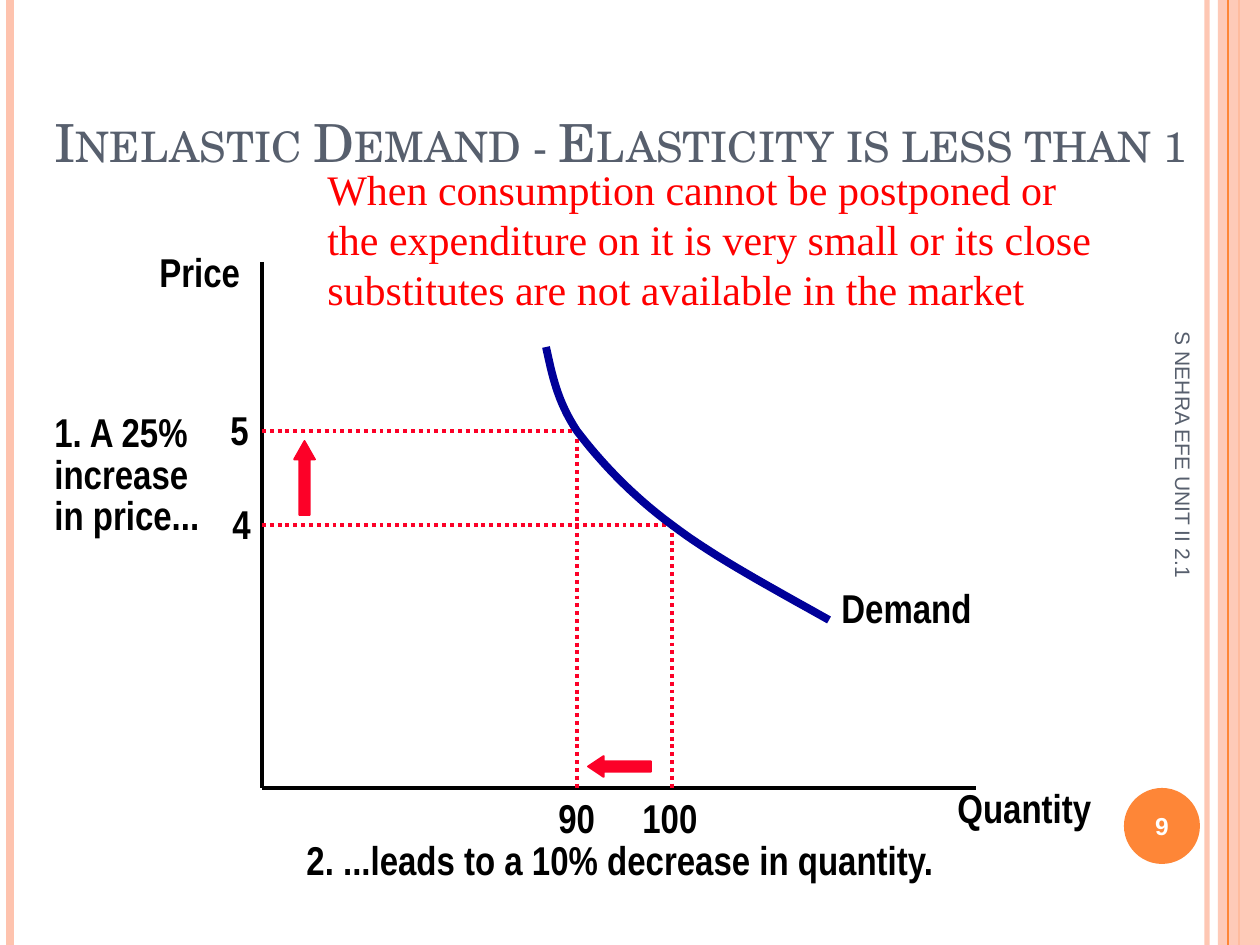
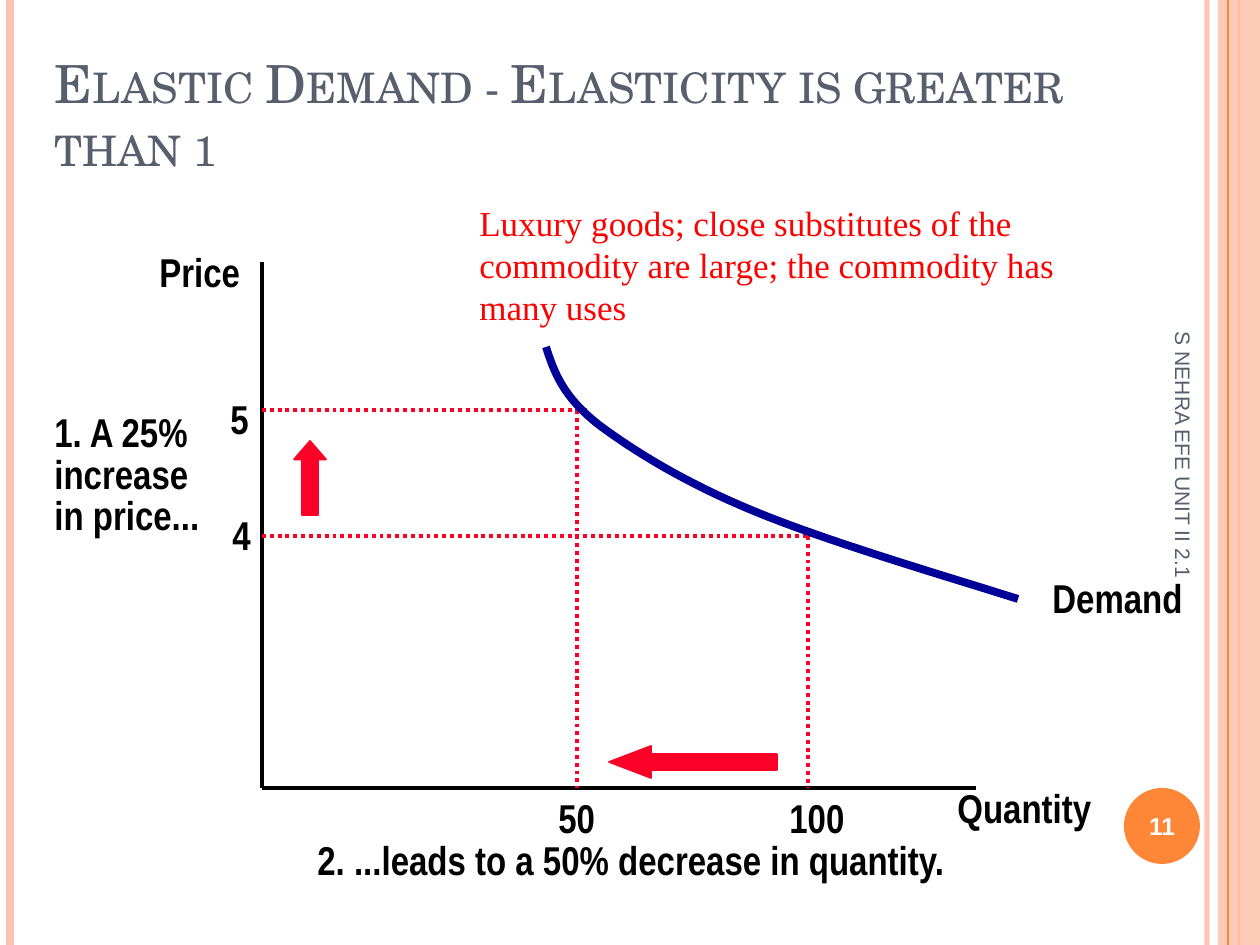
import pptx
import pptx.util
import pptx.dml.color
import pptx.enum.dml
import pptx.enum.shapes
import pptx.enum.text
import pptx.oxml
import pptx.oxml.ns

SHAPE = pptx.enum.shapes.MSO_SHAPE
ALIGN = pptx.enum.text.PP_ALIGN
ANCHOR = pptx.enum.text.MSO_ANCHOR
WIDTH, HEIGHT = 1260, 945
PEACH, ORANGE, SLATE = "FEC3AE", "FE8637", "575F6D"
BLACK, WHITE, RED, CRIMSON, NAVY = "000000", "FFFFFF", "FF0000", "FC0128", "000099"
ORIGIN_X, ORIGIN_Y = 262, 788
LABEL_HEIGHT = 60


def emu(pixels):
    return round(pixels * 914400 / 126)


def color(value):
    return pptx.dml.color.RGBColor.from_string(value)


def bezier(points, steps=16):
    curve = [points[0]]
    for first in range(0, len(points) - 1, 3):
        a, b, c, d = points[first:first + 4]
        for step in range(1, steps + 1):
            t = step / steps
            s = 1 - t
            curve.append(tuple(
                s**3 * a[i] + 3 * s * s * t * b[i] + 3 * s * t * t * c[i] + t**3 * d[i]
                for i in (0, 1)))
    return curve


class Pages:
    def __init__(self):
        self.deck = pptx.Presentation()
        self.deck.slide_width, self.deck.slide_height = emu(WIDTH), emu(HEIGHT)
        self.page = None

    def fade(self, shape, percent):
        for element in shape._element.spPr.iter(pptx.oxml.ns.qn("a:srgbClr")):
            alpha = pptx.oxml.parse_xml(
                f'<a:alpha {pptx.oxml.ns.nsdecls("a")} val="{percent * 1000}"/>')
            element.append(alpha)

    def line(self, x1, y1, x2, y2, paint, weight, dotted=False):
        line = self.page.shapes.add_connector(
            pptx.enum.shapes.MSO_CONNECTOR.STRAIGHT, emu(x1), emu(y1), emu(x2), emu(y2))
        line.line.color.rgb = color(paint)
        line.line.width = pptx.util.Pt(weight)
        if dotted:
            line.line.dash_style = pptx.enum.dml.MSO_LINE.ROUND_DOT
        line._element.spPr.append(
            pptx.oxml.parse_xml(f'<a:effectLst {pptx.oxml.ns.nsdecls("a")}/>'))
        return line

    def shape(self, kind, x, y, width, height, paint):
        shape = self.page.shapes.add_shape(kind, emu(x), emu(y), emu(width), emu(height))
        shape.shadow.inherit = False
        shape.fill.solid()
        shape.fill.fore_color.rgb = color(paint)
        shape.line.fill.background()
        return shape

    def arrow(self, kind, x, y, width, height):
        arrow = self.shape(kind, x, y, width, height, CRIMSON)
        arrow.line.color.rgb = color(CRIMSON)
        arrow.line.width = pptx.util.Pt(1)
        arrow.adjustments[0] = 0.5
        arrow.adjustments[1] = max(width, height) / min(width, height) / 4

    def text(self, x, y, width, height, lines, font, size, paint, bold=False,
             wrap=True, anchor=ANCHOR.TOP, align=ALIGN.LEFT, spacing=None, caps=False):
        box = self.page.shapes.add_textbox(emu(x), emu(y), emu(width), emu(height))
        frame = box.text_frame
        frame.word_wrap = wrap
        frame.vertical_anchor = anchor
        frame.text = lines
        for para in frame.paragraphs:
            para.alignment = align
            para.font.name = font
            para.font.size = pptx.util.Pt(size)
            para.font.color.rgb = color(paint)
            para.font.bold = bold
            if spacing:
                para.line_spacing = spacing
            if caps:
                para._p.xpath("a:pPr/a:defRPr")[0].set("cap", "small")
        return box

    def label(self, x, y, width, words, height=LABEL_HEIGHT, spacing=None):
        self.text(x, y, width, height, words, "Arial Narrow", 23, BLACK,
                  bold=True, wrap=False, spacing=spacing)

    def curve(self, points):
        corners = [(emu(x), emu(y)) for x, y in bezier(points)]
        builder = self.page.shapes.build_freeform(*corners[0], scale=1)
        builder.add_line_segments(corners[1:], close=False)
        curve = builder.convert_to_shape()
        curve.shadow.inherit = False
        curve.fill.background()
        curve.line.color.rgb = color(NAVY)
        curve.line.width = pptx.util.Pt(4.5)

    def start(self, title, title_box, number):
        self.page = self.deck.slides.add_slide(self.deck.slide_layouts[6])
        self.fade(self.line(1207, 0, 1207, HEIGHT, PEACH, 3), 93)
        self.line(10, 0, 10, HEIGHT, PEACH, 4.5)
        self.line(1239, 0, 1239, HEIGHT, ORANGE, 1.5)
        self.fade(self.shape(SHAPE.RECTANGLE, 1218, 0, 42, HEIGHT, PEACH), 87)
        self.line(1228, 0, 1228, HEIGHT, ORANGE, 0.75)
        self.shape(SHAPE.OVAL, 1124, 788, 76, 76, ORANGE)
        self.text(*title_box, title, "TeX Gyre Schola", 30, SLATE,
                  anchor=ANCHOR.MIDDLE, caps=True)
        self.text(1120, 790, 84, 72, number, "Arial", 14, WHITE, bold=True,
                  anchor=ANCHOR.MIDDLE, align=ALIGN.CENTER)
        footer = self.text(963, 515, 441, 50, "S NEHRA EFE UNIT II 2.1", "Arial", 12,
                           SLATE, anchor=ANCHOR.MIDDLE)
        footer.rotation = 90

    def axes(self):
        self.line(ORIGIN_X, 262, ORIGIN_X, ORIGIN_Y, BLACK, 2.25)
        self.line(ORIGIN_X, ORIGIN_Y, 976, ORIGIN_Y, BLACK, 2.25)
        self.label(945, 777, 162, "Quantity")
        self.label(147, 241, 110, "Price")
        self.label(42, 409, 174, "1. A 25%\nincrease\nin price...", height=136, spacing=0.85)

    def guide(self, x, y, reach, price, price_spot, quantity, quantity_spot):
        self.line(ORIGIN_X, y, reach, y, CRIMSON, 2.25, dotted=True)
        self.line(x, y, x, ORIGIN_Y, CRIMSON, 2.25, dotted=True)
        self.label(*price_spot, 48, price)
        self.label(quantity_spot, ORIGIN_Y - 1, 84 if len(quantity) > 2 else 66, quantity)


pages = Pages()
CHARTS = [
    dict(
        title="Inelastic Demand - Elasticity is less than 1",
        title_box=(42, 62, 1165, 158), number="9",
        guides=[(672, 525, 672, "4", (220, 493), "100", 630),
                (577, 431, 577, "5", (218, 399), "90", 546)],
        curve=[(546, 347), (552, 374), (557, 401), (577, 431), (599, 460),
               (630, 494), (672, 525), (714, 557), (772, 588), (829, 620)],
        demand=(829, 577), rise=(294, 441, 21, 74), fall=(588, 756, 63, 21),
        result=(294, "2. ...leads to a 10% decrease in quantity."),
        note=(315, 157, 805, 165, "When consumption cannot be postponed or the expenditure "
              "on it is very small or its close substitutes are not available in the market"),
        note_size=24),
    dict(
        title="Elastic Demand - Elasticity is greater than 1",
        title_box=(42, 31, 1155, 166), number="11",
        guides=[(808, 536, 808, "4", (220, 504), "100", 777),
                (577, 410, 588, "5", (218, 388), "50", 546)],
        curve=[(546, 347), (554, 372), (563, 397), (599, 425), (634, 451),
               (685, 483), (756, 512), (827, 541), (922, 569), (1018, 599)],
        demand=(1040, 567), rise=(294, 441, 32, 74), fall=(609, 746, 168, 32),
        result=(305, "2. ...leads to a 50% decrease in quantity."),
        note=(467, 195, 630, 140, "Luxury goods; close substitutes of the commodity are large; "
              "the commodity has many uses"),
        note_size=20),
]

for chart in CHARTS:
    pages.start(chart["title"], chart["title_box"], chart["number"])
    pages.axes()
    for guide in chart["guides"]:
        pages.guide(*guide)
    pages.arrow(SHAPE.UP_ARROW, *chart["rise"])
    pages.label(*chart["demand"], 164, "Demand")
    pages.curve(chart["curve"])
    result_x, result_words = chart["result"]
    pages.label(result_x, 829, 660, result_words)
    pages.arrow(SHAPE.LEFT_ARROW, *chart["fall"])
    pages.text(*chart["note"], "Times New Roman", chart["note_size"], RED)

pages.deck.save("out.pptx")
